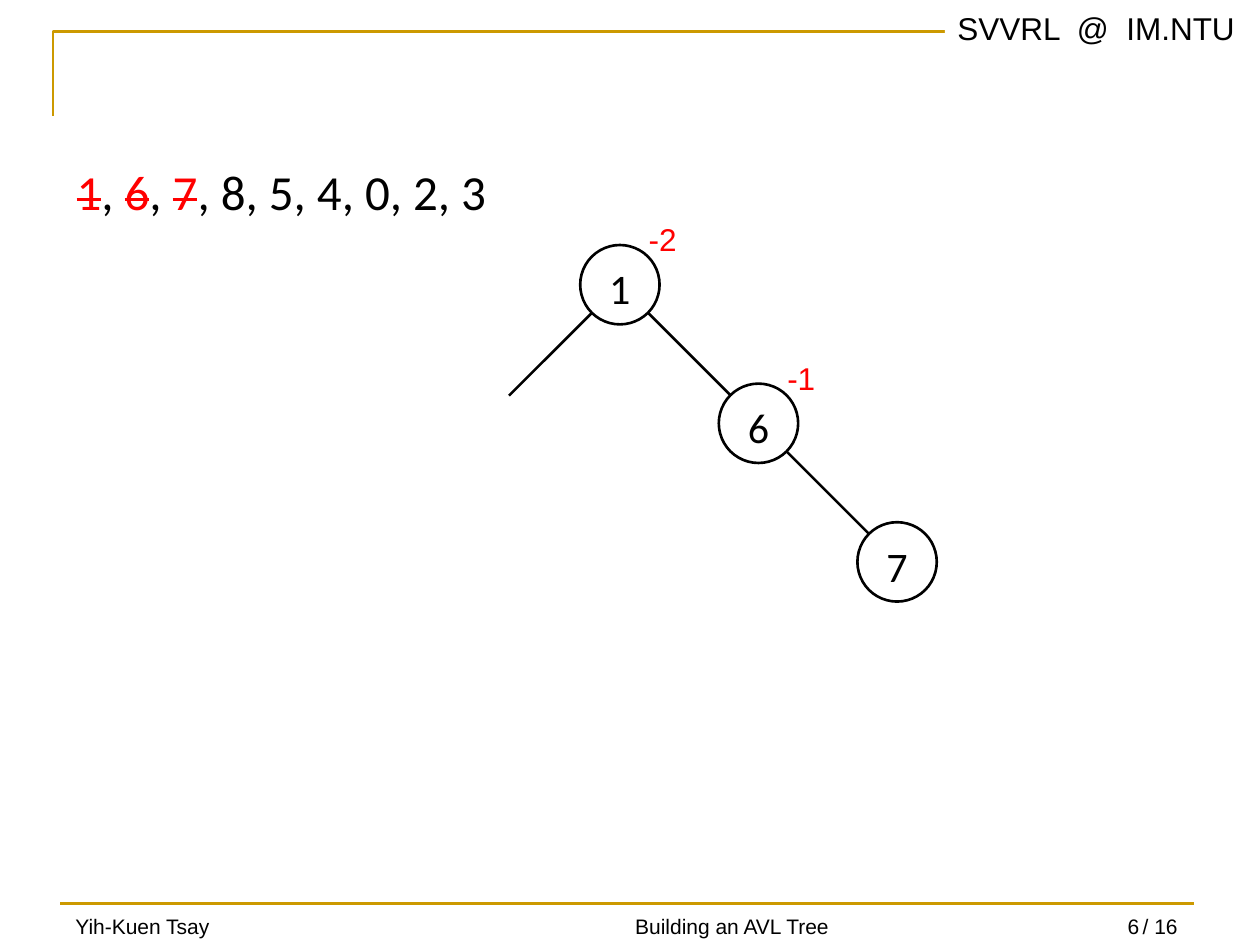
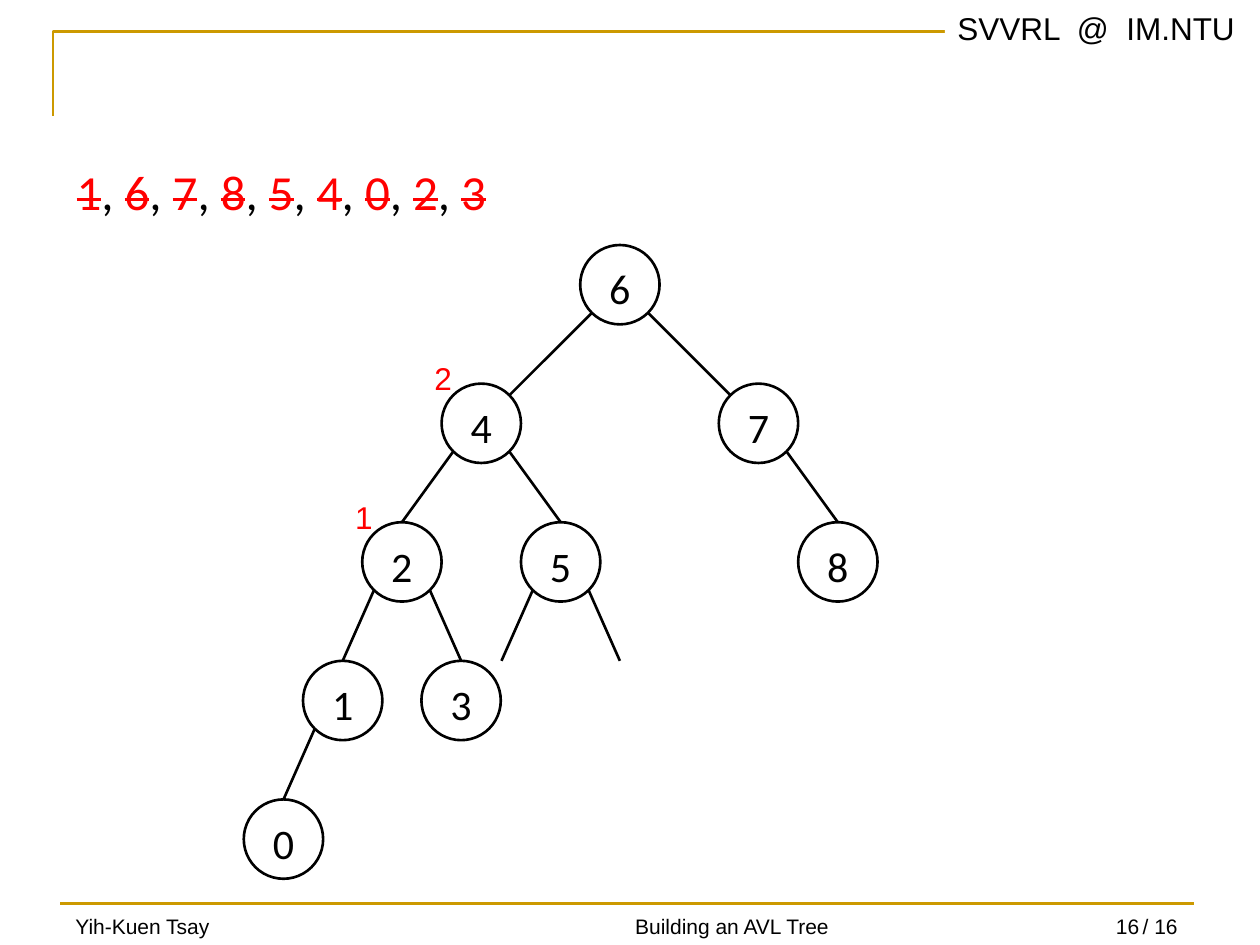
"""Build two slides that show steps of inserting keys into an AVL tree."""
from dataclasses import dataclass
from typing import Any, Optional

import pptx
import pptx.dml.color
import pptx.enum.shapes
import pptx.enum.text
import pptx.oxml.ns
import pptx.util
from lxml import etree

Inches = pptx.util.Inches
Pt = pptx.util.Pt
Align = pptx.enum.text.PP_ALIGN
Anchor = pptx.enum.text.MSO_ANCHOR
Shape = pptx.enum.shapes.MSO_SHAPE

COLOURS = {"ink": "000000", "accent": "FF0000", "rule": "CC9900", "paper": "FFFFFF"}
KEYS = "165"
KEYS = (1, 6, 7, 8, 5, 4, 0, 2, 3)
PAGE_COUNT = 16
LINE_WIDTH = 1.5
DIAMETER = 0.63
CORNER = 0.22
LEVEL_GAP = 1.1
ROOT = (4.92, 2.26)
LABEL_RISE = 0.56
LABEL_SHIFT = 0.13


@dataclass(frozen=True)
class TextStyle:
    """Describe the look of a text."""

    size: float
    font: str = "Arial"
    colour: str = "ink"
    align: Any = Align.LEFT
    anchor: Any = Anchor.TOP
    wrap: bool = True


@dataclass(frozen=True)
class Node:
    """Describe a tree node; one without a key is an empty branch."""

    key: Optional[int] = None
    left: Optional["Node"] = None
    right: Optional["Node"] = None
    balance: str = ""


@dataclass(frozen=True)
class Step:
    """Describe one slide: its number, keys inserted, tree and spread per level."""

    number: int
    inserted: int
    tree: Node
    spreads: tuple[float, ...]


HEADER = TextStyle(18, anchor=Anchor.MIDDLE)
FOOTER = TextStyle(12, anchor=Anchor.BOTTOM)
FOOTER_CENTRE = TextStyle(12, align=Align.CENTER, anchor=Anchor.BOTTOM)
FOOTER_RIGHT = TextStyle(12, align=Align.RIGHT, anchor=Anchor.BOTTOM)
PAGE_TOTAL = TextStyle(12, wrap=False)
KEY_LIST = TextStyle(28, "Calibri", wrap=False)
NODE_KEY = TextStyle(24, "Calibri", align=Align.CENTER, wrap=False)
BALANCE = TextStyle(18, colour="accent", wrap=False)

STEPS = (
    Step(6, 3, Node(1, Node(), Node(6, None, Node(7), "-1"), "-2"), (LEVEL_GAP, LEVEL_GAP)),
    Step(
        16,
        9,
        Node(
            6,
            Node(4, Node(2, Node(1, Node(0)), Node(3), "1"), Node(5, Node(), Node()), "2"),
            Node(7, None, Node(8)),
        ),
        (LEVEL_GAP, 0.63, 0.47, 0.47),
    ),
)


def rgb(name: str) -> pptx.dml.color.RGBColor:
    """Return a named colour."""
    return pptx.dml.color.RGBColor.from_string(COLOURS[name])


def style_text(box: Any, style: TextStyle) -> Any:
    """Style the text frame of a box and return its first paragraph."""
    frame = box.text_frame
    frame.word_wrap = style.wrap
    frame.vertical_anchor = style.anchor
    para = frame.paragraphs[0]
    para.alignment = style.align
    para.font.size = Pt(style.size)
    para.font.name = style.font
    para.font.color.rgb = rgb(style.colour)
    return para


def add_text(page: Any, text: str, left: float, top: float, width: float,
             height: float, style: TextStyle) -> Any:
    """Add a text box and return its paragraph."""
    box = page.shapes.add_textbox(Inches(left), Inches(top), Inches(width), Inches(height))
    para = style_text(box, style)
    if text:
        para.add_run().text = text
    return para


def add_line(page: Any, start: tuple[float, float], end: tuple[float, float],
             colour: str = "ink") -> None:
    """Add a straight line without a shadow."""
    line = page.shapes.add_connector(
        pptx.enum.shapes.MSO_CONNECTOR.STRAIGHT, *map(Inches, (*start, *end)))
    line.line.color.rgb = rgb(colour)
    line.line.width = Pt(LINE_WIDTH)
    etree.SubElement(line._element.spPr, pptx.oxml.ns.qn("a:effectLst"))


def add_frame(page: Any, number: int) -> None:
    """Draw the rules, header and footer that all slides share."""
    builder = page.shapes.build_freeform(Inches(0.42), Inches(0.92))
    corner_points = [(Inches(0.42), Inches(0.25)), (Inches(9.42), Inches(0.25))]
    builder.add_line_segments(corner_points, close=False)
    corner = builder.convert_to_shape()
    corner.shadow.inherit = False
    corner.fill.background()
    corner.line.color.rgb = rgb("rule")
    corner.line.width = Pt(LINE_WIDTH)
    add_line(page, (0.48, 7.17), (9.48, 7.17), "rule")

    header = page.shapes.add_shape(
        Shape.RECTANGLE, Inches(7.5), Inches(0.02), Inches(2.5), Inches(0.4))
    header.shadow.inherit = False
    header.fill.solid()
    header.fill.fore_color.rgb = rgb("paper")
    header.line.fill.background()
    style_text(header, HEADER).add_run().text = "SVVRL  @  IM.NTU"

    add_text(page, f"/ {PAGE_COUNT}", 8.97, 7.2, 0.48, 0.3, PAGE_TOTAL)
    add_text(page, "Yih-Kuen Tsay", 0.5, 7.17, 2.47, 0.33, FOOTER)
    add_text(page, "Building an AVL Tree", 3.12, 7.17, 5.38, 0.33, FOOTER_CENTRE)
    add_text(page, str(number), 8.65, 7.17, 0.49, 0.33, FOOTER_RIGHT)


def add_key_list(page: Any, inserted: int) -> None:
    """List the keys, with the inserted ones struck out."""
    para = add_text(page, "", 0.51, 1.23, 3.5, 0.57, KEY_LIST)
    for index, key in enumerate(KEYS):
        if index:
            para.add_run().text = ", "
        span = para.add_run()
        span.text = str(key)
        if index < inserted:
            span.font.color.rgb = rgb("accent")
            span._r.get_or_add_rPr().set("strike", "sngStrike")


def add_tree(page: Any, node: Node, x: float, y: float, spreads: tuple[float, ...],
             side: int = 1) -> None:
    """Draw a node, its balance factor and, level by level, its branches."""
    if node.key is None:
        return
    radius = DIAMETER / 2
    circle = page.shapes.add_shape(
        Shape.OVAL, Inches(x - radius), Inches(y - radius), Inches(DIAMETER), Inches(DIAMETER))
    circle.shadow.inherit = False
    circle.fill.background()
    circle.line.color.rgb = rgb("ink")
    circle.line.width = Pt(LINE_WIDTH)
    style_text(circle, NODE_KEY).add_run().text = str(node.key)

    if node.balance:
        width = 0.25 + 0.09 * len(node.balance)
        left = x + LABEL_SHIFT if side > 0 else x - LABEL_SHIFT - width
        add_text(page, node.balance, left, y - LABEL_RISE, width, 0.4, BALANCE)

    for direction, child in ((-1, node.left), (1, node.right)):
        if child is None:
            continue
        child_x, child_y = x + direction * spreads[0], y + LEVEL_GAP
        if spreads[0] == LEVEL_GAP:
            end = (child_x - direction * CORNER, child_y - CORNER)
        else:
            end = (child_x, child_y - radius)
        add_line(page, (x + direction * CORNER, y + CORNER), end)
        add_tree(page, child, child_x, child_y, spreads[1:], direction)


def main() -> None:
    """Build and save the deck."""
    deck = pptx.Presentation()
    deck.slide_width, deck.slide_height = Inches(10), Inches(7.5)
    for step in STEPS:
        page = deck.slides.add_slide(deck.slide_layouts[6])
        add_frame(page, step.number)
        add_key_list(page, step.inserted)
        add_tree(page, step.tree, *ROOT, step.spreads)
    deck.save("out.pptx")


main()
